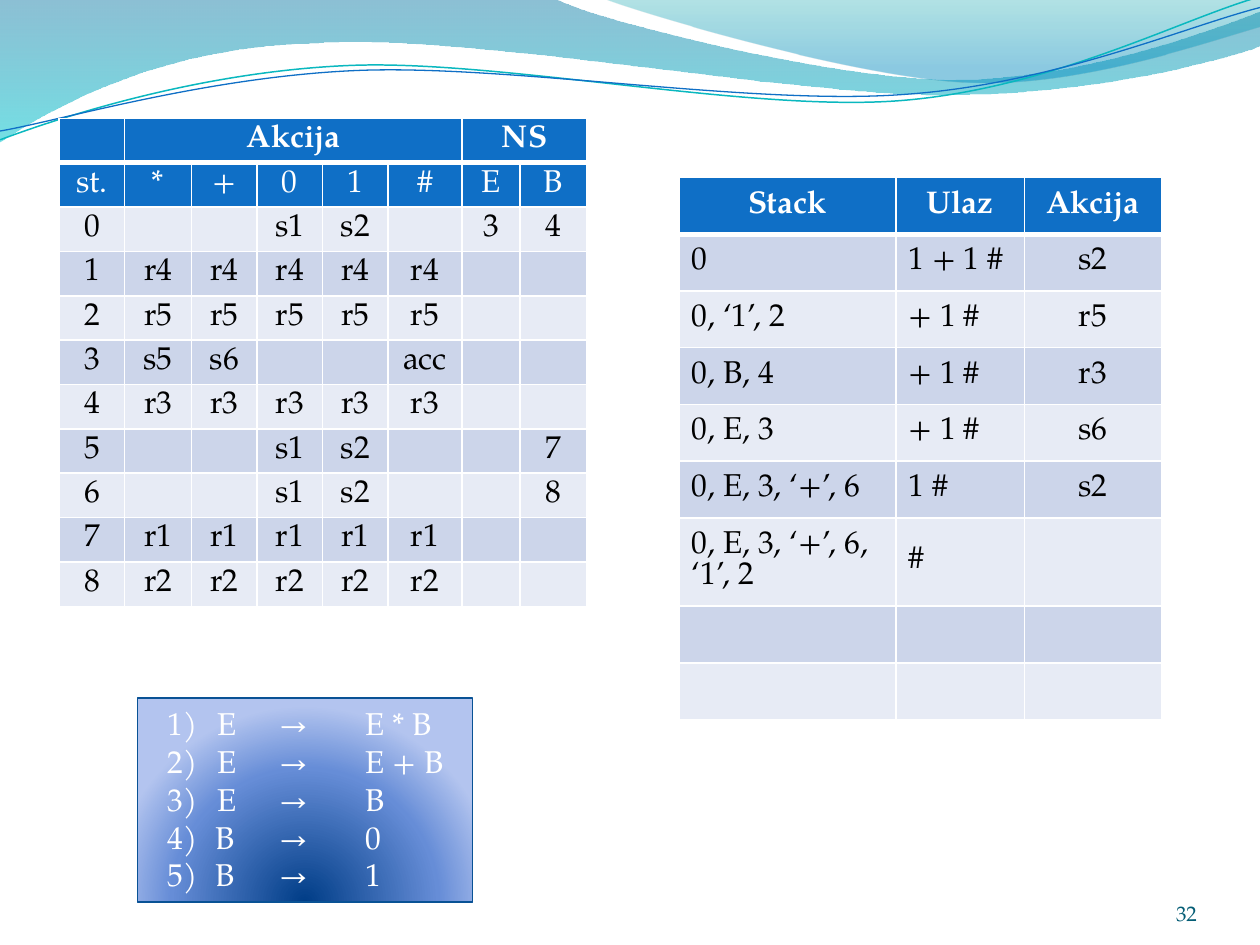
import math

from lxml import etree
from pptx import Presentation
from pptx.dml.color import RGBColor
from pptx.enum import shapes, text
from pptx.oxml import ns
from pptx.util import Inches, Pt

WHITE = RGBColor(0xFF, 0xFF, 0xFF)
BLACK = RGBColor(0, 0, 0)
BLUE = RGBColor(0x0F, 0x6F, 0xC6)
TURQUOISE = RGBColor(0x0A, 0xB8, 0xBF)
BORDER_BLUE = RGBColor(0x09, 0x52, 0x95)
NUMBER_TEAL = RGBColor(0x04, 0x5D, 0x75)
BANDS = RGBColor(0xE7, 0xEB, 0xF5), RGBColor(0xCC, 0xD5, 0xEA)
DEEP_BLUE = RGBColor(0, 0x74, 0xA1)
CYAN = RGBColor(0, 0xC6, 0xCF)
SEA_GREEN = RGBColor(0, 0xA1, 0xA9)
SKY_BLUE = RGBColor(0, 0x8B, 0xBF)
GRAMMAR_STOPS = [(0, RGBColor(0, 0x3D, 0x87), 100),
                 (68, RGBColor(0x66, 0x8D, 0xD7), 100),
                 (100, RGBColor(0xB3, 0xC4, 0xEF), 100)]


def element(parent, tag, **attributes):
    return etree.SubElement(parent, ns.qn(tag), {k: str(v) for k, v in attributes.items()})


def pairs(segment):
    return list(zip(segment[::2], segment[1::2]))


def trace(groups, steps=24):
    points = list(groups[0])
    for group in groups[1:]:
        if len(group) == 1:
            points += group
            continue
        anchors = [points[-1]] + group
        for step in range(1, steps + 1):
            t = step / steps
            weights = (1 - t) ** 3, 3 * t * (1 - t) ** 2, 3 * t * t * (1 - t), t ** 3
            points.append(tuple(sum(w * a[axis] for w, a in zip(weights, anchors))
                                for axis in (0, 1)))
    return points


def turn(points, center, degrees):
    cos, sin = math.cos(math.radians(degrees)), math.sin(math.radians(degrees))
    cx, cy = center
    return [(cx + (x - cx) * cos - (y - cy) * sin, cy + (x - cx) * sin + (y - cy) * cos)
            for x, y in points]


class SlideBuilder:
    font = "TeX Gyre Pagella"
    size = 18

    def __init__(self, slide):
        self.slide = slide

    def run(self, paragraph, words, color, size=None, bold=False):
        run = paragraph.add_run()
        run.text = words
        run.font.name = self.font
        run.font.size = Pt(size or self.size)
        run.font.bold = bold
        run.font.color.rgb = color

    def gradient(self, shape, stops, center=None):
        shape.fill.background()
        empty = shape._element.spPr.find(ns.qn("a:noFill"))
        gradient = etree.Element(ns.qn("a:gradFill"), rotWithShape="1")
        stop_list = element(gradient, "a:gsLst")
        for position, color, opacity in stops:
            stop = element(stop_list, "a:gs", pos=position * 1000)
            tint = element(stop, "a:srgbClr", val=color)
            element(tint, "a:alpha", val=opacity * 1000)
        if center:
            radial = element(gradient, "a:path", path="circle")
            element(radial, "a:fillToRect",
                    **{side: share * 1000 for side, share in zip("ltrb", center)})
        else:
            element(gradient, "a:lin", ang=5400000, scaled=1)
        empty.getparent().replace(empty, gradient)

    def outline(self, groups, close):
        points = [tuple(map(Inches, point)) for point in trace(groups)]
        builder = self.slide.shapes.build_freeform(*points[0])
        builder.add_line_segments(points[1:], close=close)
        shape = builder.convert_to_shape()
        shape.shadow.inherit = False
        contour = shape._element.spPr.find(".//" + ns.qn("a:path"))
        for child in list(contour):
            contour.remove(child)
        for i, group in enumerate(groups):
            kind = "a:moveTo" if i == 0 else "a:lnTo" if len(group) == 1 else "a:cubicBezTo"
            command = element(contour, kind)
            for x, y in group:
                element(command, "a:pt", x=Inches(x) - shape.left, y=Inches(y) - shape.top)
        if close:
            element(contour, "a:close")
        return shape

    def wave(self, segments, stops):
        shape = self.outline([pairs(s) for s in segments], True)
        self.gradient(shape, stops)
        shape.line.fill.background()

    def strand(self, segments, center, color, width, tilt=2.7):
        shape = self.outline([turn(pairs(s), center, tilt) for s in segments], False)
        shape.rotation = -tilt
        shape.fill.background()
        shape.line.color.rgb = color
        shape.line.width = Pt(width)

    def cell(self, cell, words, fill, color, bold, centered):
        cell.vertical_anchor = text.MSO_ANCHOR.MIDDLE
        properties = cell._tc.get_or_add_tcPr()
        for side in "LRTB":
            width = 3 if bold and side == "B" else 1
            border = element(properties, f"a:ln{side}", w=Pt(width))
            element(element(border, "a:solidFill"), "a:srgbClr", val=WHITE)
        cell.fill.solid()
        cell.fill.fore_color.rgb = fill
        paragraph = cell.text_frame.paragraphs[0]
        paragraph.alignment = text.PP_ALIGN.CENTER if centered else text.PP_ALIGN.LEFT
        if words:
            self.run(paragraph, words, color, bold=bold)
        else:
            ending = element(paragraph._p, "a:endParaRPr", sz=self.size * 100)
            element(ending, "a:latin", typeface=self.font)

    def table(self, left, top, widths, heights, rows, headers=1, left_columns=0, spans=()):
        frame = self.slide.shapes.add_table(
            len(rows), len(widths), Inches(left), Inches(top),
            Inches(sum(widths)), Inches(sum(heights)))
        table = frame.table
        table.first_row = table.horz_banding = False
        for column, width in zip(table.columns, widths):
            column.width = Inches(width)
        for row, height in zip(table.rows, heights):
            row.height = Inches(height)
        for r, row in enumerate(rows):
            header = r < headers
            for c, words in enumerate(row):
                self.cell(table.cell(r, c), words, BLUE if header else BANDS[r % 2],
                          WHITE if header else BLACK, r == 0, header or c >= left_columns)
        for first, last in spans:
            table.cell(0, first).merge(table.cell(0, last))

    def grammar(self, left, top, width, height, typed_rules, numbered_rules):
        box = self.slide.shapes.add_shape(
            shapes.MSO_SHAPE.RECTANGLE, *map(Inches, (left, top, width, height)))
        self.gradient(box, GRAMMAR_STOPS, (50, 130, 50, -30))
        box.line.color.rgb = BORDER_BLUE
        box.line.width = Pt(0.75)
        box.shadow.inherit = False
        frame = box.text_frame
        frame.word_wrap = True
        frame.margin_left = Inches(0.24)
        frame.vertical_anchor = text.MSO_ANCHOR.TOP
        paragraph = frame.paragraphs[0]
        self.rule_layout(paragraph)
        for i, rule in enumerate(typed_rules):
            if i:
                paragraph.add_line_break()
            self.run(paragraph, rule, WHITE)
        for rule in numbered_rules:
            paragraph = frame.add_paragraph()
            self.rule_layout(paragraph, len(typed_rules) + 1)
            self.run(paragraph, rule, WHITE)

    def rule_layout(self, paragraph, number_from=None):
        paragraph.alignment = text.PP_ALIGN.LEFT
        properties = paragraph._p.get_or_add_pPr()
        if number_from:
            properties.set("marL", str(Inches(0.38)))
            properties.set("indent", str(Inches(-0.38)))
            element(properties, "a:buFont", typeface="+mj-lt")
            element(properties, "a:buAutoNum", type="arabicParenR", startAt=number_from)
        tabs = element(properties, "a:tabLst")
        for position in (0.4, 0.89, 1.57):
            element(tabs, "a:tab", pos=Inches(position), algn="l")

    def slide_number(self, left, top, width, height, number):
        box = self.slide.shapes.add_textbox(*map(Inches, (left, top, width, height)))
        frame = box.text_frame
        frame.word_wrap = True
        frame.margin_left = frame.margin_right = frame.margin_top = frame.margin_bottom = 0
        frame.vertical_anchor = text.MSO_ANCHOR.BOTTOM
        frame.paragraphs[0].alignment = text.PP_ALIGN.RIGHT
        self.run(frame.paragraphs[0], number, NUMBER_TEAL, size=12)


def main():
    deck = Presentation()
    deck.slide_width, deck.slide_height = Inches(10), Inches(7.5)
    page = SlideBuilder(deck.slides.add_slide(deck.slide_layouts[6]))
    page.wave([(0, 0), (4.4, -0.01), (4.76, 0.17, 6.64, 0.63, 7.58, 0.63),
               (8.53, 0.63, 9.58, 0.26, 10, 0.09), (10.01, 0.36),
               (9.83, 0.44, 8.7, 0.76, 7.46, 0.75), (6.22, 0.75, 3.82, 0.28, 2.57, 0.34),
               (1.29, 0.36, 0.46, 0.83, -0.01, 1.13)], [(0, DEEP_BLUE, 45), (100, CYAN, 55)])
    page.wave([(4.79, -0.01), (5.09, 0.11, 6.82, 0.62, 7.69, 0.65),
               (8.56, 0.69, 9.61, 0.32, 10, 0.21), (10, 0)],
              [(0, SEA_GREEN, 30), (80, SKY_BLUE, 45)])
    page.strand([(0, 1.11), (0.48, 0.93, 1.58, 0.57, 2.77, 0.52),
                 (3.95, 0.47, 5.93, 0.89, 7.13, 0.8),
                 (8.33, 0.71, 9.38, 0.15, 9.98, -0.02)], (4.99, 0.58), TURQUOISE, 0.85)
    page.strand([(0, 1.04), (0.47, 0.96, 1.64, 0.61, 2.83, 0.56),
                 (4.03, 0.51, 5.97, 0.84, 7.17, 0.75),
                 (8.36, 0.67, 9.41, 0.21, 10, 0.06)], (5, 0.59), BLUE, 0.75)
    states = ["  ss  34", "rrrrr", "rrrrr"]
    reductions = {state: [state] + [rule] * 5 + [""] * 2 for state, rule in
                  zip("12478", ("r4", "r5", "r3", "r1", "r2"))}
    page.table(0.47, 0.94, [0.52, 0.53] + [0.52] * 3 + [0.59, 0.46, 0.53], [0.35] * 11, [
        ["", "Akcija", "", "", "", "", "NS", ""],
        ["st.", "*", "+", "0", "1", "#", "E", "B"],
        ["0", "", "", "s1", "s2", "", "3", "4"],
        reductions["1"], reductions["2"],
        ["3", "s5", "s6", "", "", "acc", "", ""],
        reductions["4"],
        ["5", "", "", "s1", "s2", "", "", "7"],
        ["6", "", "", "s1", "s2", "", "", "8"],
        reductions["7"], reductions["8"],
    ], headers=2, spans=[(1, 5), (6, 7)])
    page.slide_number(8.67, 6.95, 0.83, 0.4, "32")
    page.grammar(1.09, 5.54, 2.66, 1.62,
                 ["1) \tE\t→\tE * B", "2) \tE\t→ \tE + B", "3) \tE\t→ \tB"],
                 ["B\t→\t0", "B\t→\t1"])
    page.table(5.39, 1.41, [1.72, 1.02, 1.09], [0.45] * 6 + [0.7] + [0.45] * 2, [
        ["Stack", "Ulaz", "Akcija"],
        ["0", "1 + 1 #", "s2"],
        ["0, ‘1’, 2", "+ 1 #", "r5"],
        ["0, B, 4", "+ 1 #", "r3"],
        ["0, E, 3", "+ 1 #", "s6"],
        ["0, E, 3, ‘+’, 6", "1 #", "s2"],
        ["0, E, 3, ‘+’, 6, ‘1’, 2", "#", ""],
        [""] * 3,
        [""] * 3,
    ], left_columns=2)
    deck.save("out.pptx")


if __name__ == "__main__":
    main()
